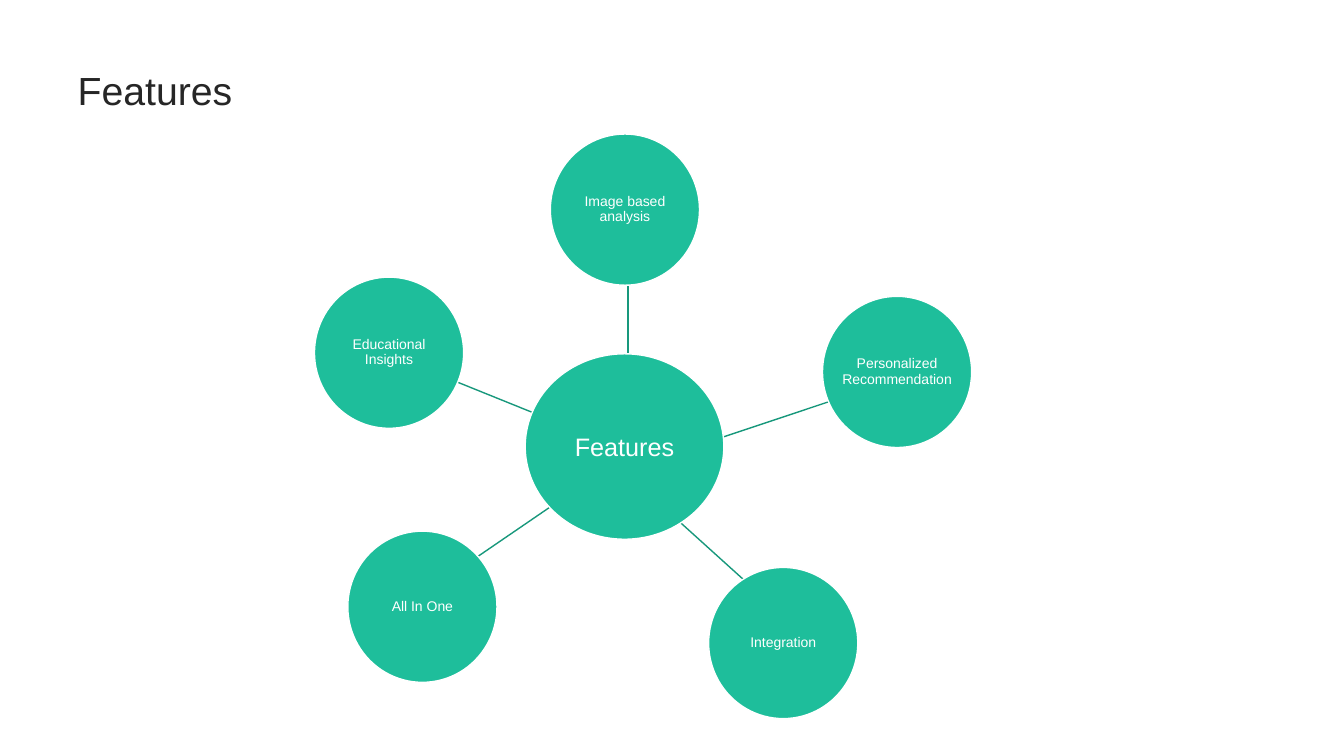
from lxml.etree import SubElement
from pptx import Presentation
from pptx.dml.color import RGBColor
from pptx.enum.shapes import MSO_CONNECTOR, MSO_SHAPE
from pptx.enum.text import MSO_ANCHOR, PP_ALIGN
from pptx.oxml.ns import qn
from pptx.util import Inches, Pt

WHITE = RGBColor(0xFF, 0xFF, 0xFF)
INK = RGBColor(0x26, 0x26, 0x26)
GREEN = RGBColor(0x1E, 0xBE, 0x9B)
DARK_GREEN = RGBColor(0x18, 0x98, 0x7C)
FONT = "Arial"

SLIDE_W, SLIDE_H = Inches(13.33), Inches(7.5)
COL, ROW = SLIDE_W / 100, SLIDE_H / 100

TITLE_BOX = (5.03, 8.13, 90, 19.33)
DIAGRAM_BOX = (23.4, 17.73)
HUB = (15.68, 29.07, 14.78, 24.53)
SATELLITE_SIZE = (11.1, 20)
SATELLITES = [
    ("Image based\vanalysis", (17.55, 0), (23.33, 35.87), (23.33, 13.47)),
    ("Personalized\vRecommendation", (37.8, 21.47), (28.73, 41.07), (40.65, 34)),
    ("Integration", (29.33, 57.33), (23.7, 45.73), (33.08, 60.8)),
    ("All In One", (2.48, 52.53), (19.95, 46.4), (9.53, 59.07)),
    ("Educational\vInsights", (0, 18.93), (18.23, 38.27), (6.53, 29.87)),
]


def grid(col, row):
    return round(col * COL), round(row * ROW)


def set_font(p, size, color):
    p.font.name = FONT
    p.font.size = Pt(size)
    p.font.color.rgb = color


def add_title(s, text, box):
    title = s.shapes.title
    title.left, title.top = grid(*box[:2])
    title.width, title.height = grid(*box[2:])
    tf = title.text_frame
    tf.text = text
    tf.vertical_anchor = MSO_ANCHOR.TOP
    p = tf.paragraphs[0]
    p.alignment = PP_ALIGN.LEFT
    set_font(p, 28, INK)


def add_spoke(s, start, end):
    line = s.shapes.add_connector(MSO_CONNECTOR.STRAIGHT, *grid(*start), *grid(*end))
    line.line.color.rgb = DARK_GREEN
    line.line.width = Pt(1)
    SubElement(line._element.spPr, qn("a:effectLst"))


def add_bubble(s, text, at, size, font_size, spacing):
    sp = s.shapes.add_shape(MSO_SHAPE.OVAL, *grid(*at), *grid(*size))
    sp.shadow.inherit = False
    sp.fill.solid()
    sp.fill.fore_color.rgb = GREEN
    sp.line.color.rgb = WHITE
    sp.line.width = Pt(1)
    tf = sp.text_frame
    tf.text = text
    tf.word_wrap = False
    tf.vertical_anchor = MSO_ANCHOR.MIDDLE
    p = tf.paragraphs[0]
    p.alignment = PP_ALIGN.CENTER
    p.line_spacing = spacing
    set_font(p, font_size, WHITE)


def add_diagram(s, box):
    def place(point):
        return box[0] + point[0], box[1] + point[1]

    for _, _, start, end in SATELLITES:
        add_spoke(s, place(start), place(end))
    add_bubble(s, "Features", place(HUB[:2]), HUB[2:], 18, 1.0)
    for text, at, _, _ in SATELLITES:
        add_bubble(s, text, place(at), SATELLITE_SIZE, 10, 0.9)


def main():
    prs = Presentation()
    prs.slide_width, prs.slide_height = SLIDE_W, SLIDE_H
    s = prs.slides.add_slide(prs.slide_layouts[5])
    s.background.fill.solid()
    s.background.fill.fore_color.rgb = WHITE
    add_title(s, "Features", TITLE_BOX)
    add_diagram(s, DIAGRAM_BOX)
    prs.save("out.pptx")


if __name__ == "__main__":
    main()
